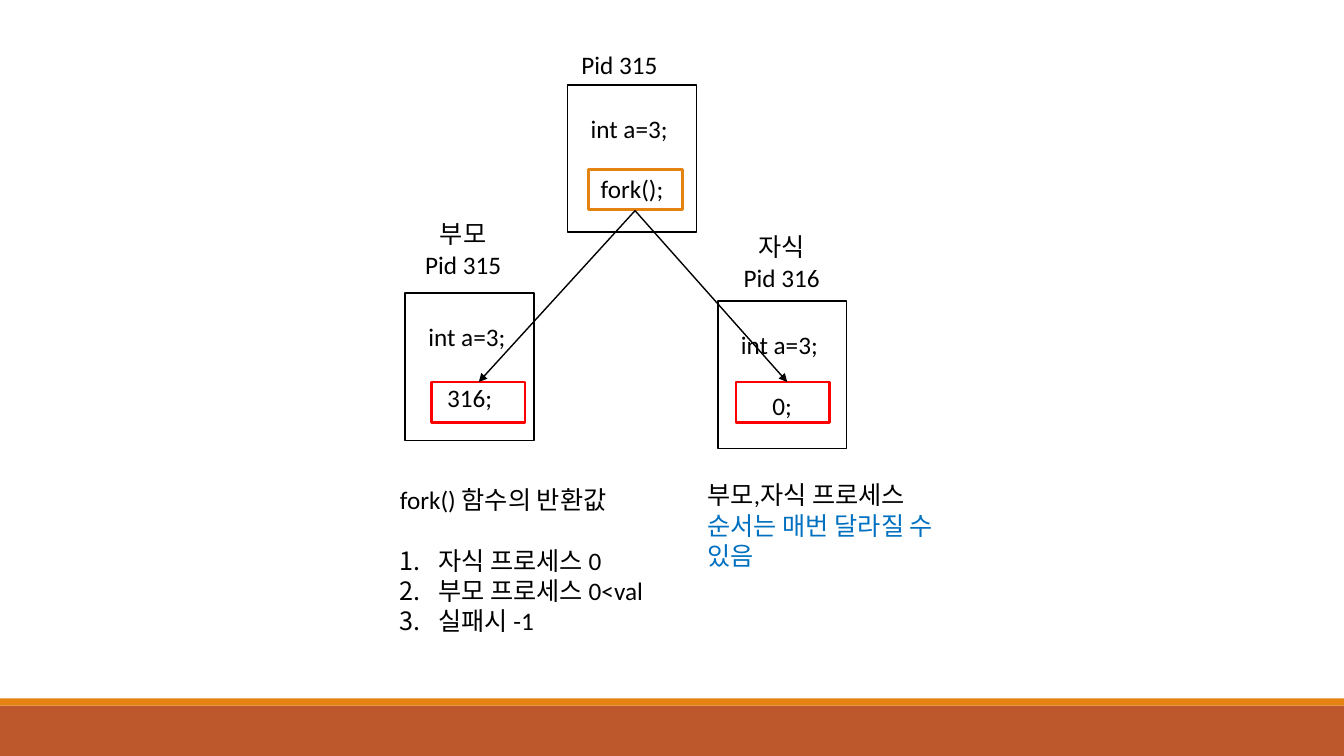
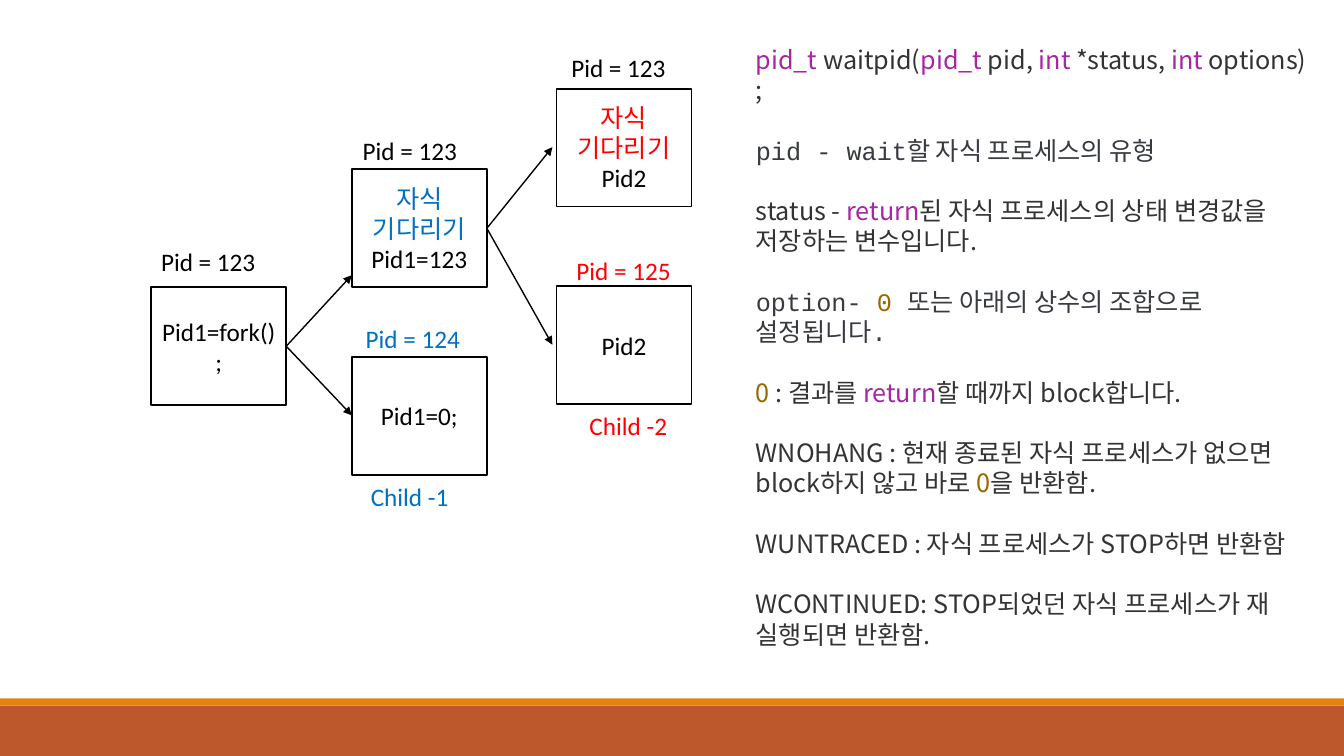
from collections import namedtuple

from lxml.etree import SubElement
from pptx import Presentation
from pptx.dml.color import RGBColor
from pptx.enum.shapes import MSO_CONNECTOR, MSO_SHAPE
from pptx.enum.text import MSO_ANCHOR, PP_ALIGN
from pptx.oxml.ns import qn
from pptx.util import Inches, Pt

BLACK = RGBColor(0x00, 0x00, 0x00)
WHITE = RGBColor(0xFF, 0xFF, 0xFF)
RED = RGBColor(0xFF, 0x00, 0x00)
BLUE = RGBColor(0x00, 0x70, 0xC0)
ORANGE = RGBColor(0xE4, 0x83, 0x12)
RUST = RGBColor(0xBD, 0x58, 0x2C)
PURPLE = RGBColor(0xA6, 0x26, 0xA4)
GRAY = RGBColor(0x33, 0x33, 0x33)
SLATE = RGBColor(0x38, 0x3A, 0x42)
OCHRE = RGBColor(0x98, 0x68, 0x01)

BODY, KOREAN, CODE = "Calibri", "Noto Sans CJK KR", "Courier New"
SIZE, LINE = Pt(18), Pt(21.6)
COLUMNS, ROWS = 40, 22.5

Run = namedtuple("Run", "text color font", defaults=(BLACK, BODY))
Para = namedtuple("Para", "runs gap numbered", defaults=(False, False))


def plain(text, color=BLACK, **layout):
    """Return a paragraph made of one body run."""
    return Para([Run(text, color)], **layout)


def api(*pieces, gap=True):
    """Return a paragraph of (text, colour) pieces in the Korean font."""
    return Para([Run(text, color, KOREAN) for text, color in pieces], gap)


class Deck:
    """Holds the shared style, the grid and the current slide."""

    def __init__(self):
        """Start a wide presentation and size its grid cells."""
        self.deck = Presentation()
        self.deck.slide_width, self.deck.slide_height = Inches(13.33), Inches(7.5)
        self.column = self.deck.slide_width / COLUMNS
        self.row = self.deck.slide_height / ROWS

    def new_slide(self):
        """Add a blank slide with the two footer bands."""
        self.slide = self.deck.slides.add_slide(self.deck.slide_layouts[6])
        self.rect(0, 21, COLUMNS, 1.5, fill=RUST)
        self.rect(0, 20.79, COLUMNS, 0.21, fill=ORANGE)

    def emu(self, *lengths):
        """Turn alternating columns and rows into slide units."""
        units = (self.column, self.row)
        return [round(value * units[i % 2]) for i, value in enumerate(lengths)]

    def rect(self, x, y, width, height, fill=None, line=None, weight=1.25):
        """Draw a rectangle with an optional fill and outline."""
        box = self.slide.shapes.add_shape(
            MSO_SHAPE.RECTANGLE, *self.emu(x, y, width, height))
        box.shadow.inherit = False
        for part, color in ((box.fill, fill), (box.line.fill, line)):
            if color is None:
                part.background()
            else:
                part.solid()
                part.fore_color.rgb = color
        if line is not None:
            box.line.width = Pt(weight)
        return box

    def process(self, x, y, size, paragraphs):
        """Draw a process box with centred text."""
        box = self.rect(x, y, *size, fill=WHITE, line=BLACK)
        self.fill_frame(box.text_frame, paragraphs, PP_ALIGN.CENTER,
                        MSO_ANCHOR.MIDDLE)

    def text(self, x, y, paragraphs, width=4.35, height=1.2, align=PP_ALIGN.LEFT):
        """Place free text."""
        box = self.slide.shapes.add_textbox(*self.emu(x, y, width, height))
        self.fill_frame(box.text_frame, paragraphs, align, MSO_ANCHOR.TOP)

    def arrow(self, start, end):
        """Draw a thin black arrow between two grid points."""
        link = self.slide.shapes.add_connector(
            MSO_CONNECTOR.STRAIGHT, *self.emu(*start, *end))
        link.line.color.rgb = BLACK
        link.line.width = Pt(1)
        props = link._element.spPr
        SubElement(props.find(qn("a:ln")), qn("a:tailEnd"), type="triangle")
        SubElement(props, qn("a:effectLst"))

    def fill_frame(self, frame, paragraphs, align, anchor):
        """Fill a text frame with styled paragraphs."""
        frame.word_wrap = True
        frame.vertical_anchor = anchor
        for i, para in enumerate(paragraphs):
            target = frame.add_paragraph() if i else frame.paragraphs[0]
            layout = {"alignment": align, "line_spacing": LINE,
                      "space_before": LINE if para.gap else Pt(0)}
            for name, value in layout.items():
                setattr(target, name, value)
            if para.numbered:
                self.number(target)
            for piece in para.runs:
                self.add_run(target, piece)

    def number(self, target):
        """Give a paragraph a hanging automatic number."""
        props = target._p.get_or_add_pPr()
        indent = Inches(0.38)
        for name, value in {"marL": indent, "indent": -indent}.items():
            props.set(name, str(value))
        SubElement(props, qn("a:buAutoNum"), type="arabicPeriod")

    def add_run(self, target, piece):
        """Append one run with Latin and Korean fonts."""
        run = target.add_run()
        run.text = piece.text
        for name, value in {"size": SIZE, "name": piece.font}.items():
            setattr(run.font, name, value)
        run.font.color.rgb = piece.color
        SubElement(run._r.get_or_add_rPr(), qn("a:ea"), typeface=KOREAN)


def fork_slide(deck):
    """Show how fork() splits one process into parent and child."""
    deck.new_slide()
    for x, y, result in ((16.89, 2.52, "fork();"), (12.06, 8.73, "316;"),
                         (21.36, 8.97, "0;")):
        deck.process(x, y, (3.84, 4.38),
                     [plain("int a=3; "), plain(result, gap=True)])

    deck.text(17.01, 1.32, [plain("Pid 315")])
    for x, y, role, pid in ((11.61, 6.36, "부모", "Pid 315"),
                            (21.09, 6.75, "자식", "Pid 316")):
        deck.text(x, y, [plain(role), plain(pid)], height=2.13,
                  align=PP_ALIGN.CENTER)

    for x, y, color in ((17.52, 5.04, ORANGE), (12.84, 11.37, RED),
                        (21.9, 11.37, RED)):
        deck.rect(x, y, 2.79, 1.2, line=color, weight=1.75)
    for result_x in (14.25, 23.43):
        deck.arrow((18.9, 6.27), (result_x, 11.37))

    cases = ("자식 프로세스 0", "부모 프로세스 0<val", "실패시 -1")
    deck.text(11.61, 14.28, [plain("fork() 함수의 반환값")] + [
        plain(case, gap=i == 0, numbered=True) for i, case in enumerate(cases)
    ], width=10.47, height=5.76)
    deck.text(20.76, 14.13, [Para([
        Run("부모,자식 프로세스 "), Run("순서는 매번 달라질 수 있음 ", BLUE),
    ])], width=7.83, height=3.03)


def waitpid_slide(deck):
    """Show two forks in a row beside the waitpid() reference."""
    deck.new_slide()
    wait = "자식 기다리기"
    width, height = size = (4.02, 3.51)
    first, second, third = 4.5, 10.47, 16.56
    for x, y, paragraphs in (
        (first, 8.55, [plain("Pid1=fork();")]),
        (second, 5.04, [plain(wait, BLUE), plain("Pid1=123")]),
        (second, 10.62, [plain("Pid1=0;")]),
        (third, 2.64, [plain(wait, RED), plain("Pid2")]),
        (third, 8.52, [plain("Pid2")]),
    ):
        deck.process(x, y, size, paragraphs)

    for x, top, ends in ((first, 8.55, ((10.47, 8.19), (10.47, 12.36))),
                         (second, 5.04, ((16.44, 4.38), (16.44, 10.26)))):
        for end in ends:
            deck.arrow((x + width, top + height / 2), end)

    for x, y, label, color in (
        (4.5, 7.17, "Pid = 123", BLACK),
        (10.5, 3.87, "Pid = 123", BLACK),
        (10.59, 9.48, "Pid = 124", BLUE),
        (10.74, 14.19, "Child -1", BLUE),
        (16.71, 1.41, "Pid = 123", BLACK),
        (16.86, 7.44, "Pid = 125", RED),
        (17.25, 12.06, "Child -2", RED),
    ):
        deck.text(x, y, [plain(label, color)])

    deck.text(22.2, 1.17, [
        api(("pid_t\u00a0", PURPLE), ("waitpid(", GRAY), ("pid_t\u00a0", PURPLE),
            ("pid,\u00a0", GRAY), ("int", PURPLE), ("\u00a0*status,\u00a0", GRAY),
            ("int\u00a0", PURPLE), ("options);", GRAY), gap=False),
        Para([Run("pid - wait할 자식 프로세스의 유형", SLATE, CODE)], True),
        api(("status -\u00a0", GRAY), ("return", PURPLE),
            ("된 자식 프로세스의 상태 변경값을 저장하는 변수입니다.", GRAY)),
        Para([Run("option- ", SLATE, CODE), Run("0", OCHRE, CODE),
              Run(" 또는 아래의 상수의 조합으로 설정됩니다.", SLATE, CODE)], True),
        api(("0\u00a0", OCHRE), (": 결과를\u00a0", GRAY), ("return", PURPLE),
            ("할 때까지 block합니다.", GRAY)),
        api(("WNOHANG : 현재 종료된 자식 프로세스가 없으면 "
             "block하지 않고 바로\u00a0", GRAY),
            ("0", OCHRE), ("을 반환함. ", GRAY)),
        api(("WUNTRACED : 자식 프로세스가 STOP하면 반환함 ", GRAY)),
        api(("WCONTINUED: STOP되었던 자식 프로세스가 재 실행되면 반환함.", GRAY)),
    ], width=17.1, height=17.58)


lesson = Deck()
fork_slide(lesson)
waitpid_slide(lesson)
lesson.deck.save("out.pptx")
